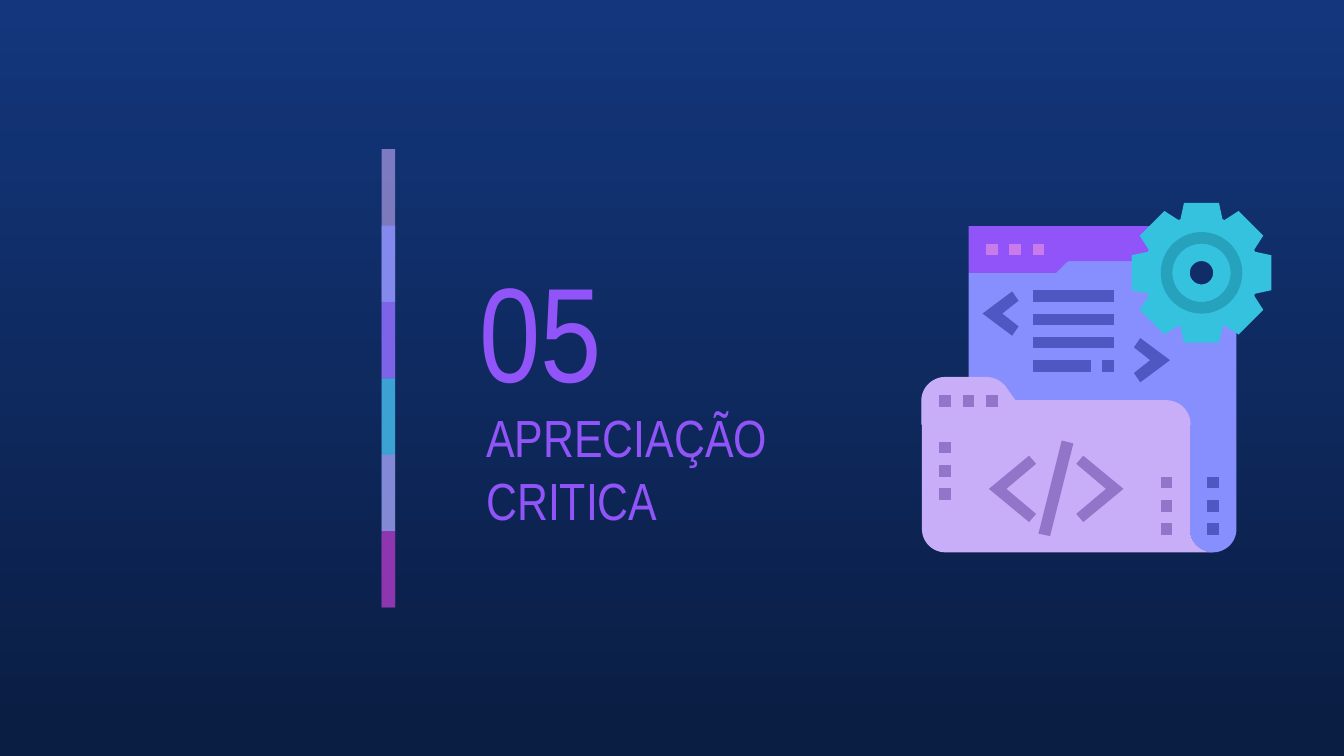
"""Section slide with a striped divider, a heading and a code folder icon."""
from dataclasses import dataclass
from math import cos, radians, sin

from lxml.etree import SubElement
from pptx import Presentation
from pptx.dml.color import RGBColor
from pptx.enum.shapes import MSO_SHAPE as Preset
from pptx.enum.text import MSO_ANCHOR as Anchor
from pptx.oxml.ns import qn
from pptx.util import Inches, Pt

Points = list[tuple[float, float]]

WIDTH = 10
HEIGHT = WIDTH * 9 / 16
FONT = "Arial Narrow"
LILAC, PERIWINKLE, VIOLET = "C8AEF8", "878FFF", "9154F8"
CYAN, TEAL, PINK = "35C2DF", "26A2BC", "CA7BEB"
MAUVE, INDIGO, PLUM = "9275C8", "4F57C3", "972CB4"
ICON_LEFT, ICON_TOP, UNIT = 6.86, 1.51, 2.6 / 30
BAR_LEFT, BAR_TOP, BAR_WIDTH, BAR_STEP = 2.84, 1.11, 0.1, 3.41 / 6


@dataclass
class Bar:
    color: str
    opacity: int
    steps: int = 2


@dataclass
class Heading:
    text: str
    size: int
    left: float
    top: float
    width: float
    height: float


@dataclass
class Dots:
    color: str
    column: float
    row: float
    across: int = 1
    down: int = 1
    width: float = 1


@dataclass
class Chevron:
    color: str
    tip: tuple[float, float]
    side: int
    outer: tuple[float, float]
    far: tuple[float, float]
    inner: float


BARS = [Bar(LILAC, 59), Bar(PERIWINKLE, 74), Bar(VIOLET, 53),
        Bar(CYAN, 76), Bar(PINK, 56), Bar(PLUM, 74, 1)]
HEADINGS = [Heading("05", 72, 3.47, 1.73, 1.79, 1.43),
            Heading("APRECIAÇÃO CRITICA", 28, 3.52, 3.15, 2.87, 0.67)]
DOTS = [Dots(PINK, 5.5, 3.5, across=3),
        Dots(MAUVE, 1.5, 16.5, across=3),
        Dots(MAUVE, 1.5, 20.5, down=3),
        Dots(MAUVE, 20.5, 23.5, down=3),
        Dots(INDIGO, 24.5, 23.5, down=3),
        Dots(INDIGO, 9.5, 7.5, down=3, width=7),
        Dots(INDIGO, 9.5, 13.5, width=5),
        Dots(INDIGO, 15.5, 13.5)]
SMALL = ((2.55, 1.9), (3.1, 1.1), 1.7)
LARGE = ((3.45, 2.85), (4.05, 2.15), 1.5)
CHEVRONS = [Chevron(INDIGO, (5.2, 9.5), 1, *SMALL),
            Chevron(INDIGO, (21.3, 13.5), -1, *SMALL),
            Chevron(MAUVE, (5.75, 24.55), 1, *LARGE),
            Chevron(MAUVE, (17.3, 24.55), -1, *LARGE)]


def rgb(color: str) -> RGBColor:
    return RGBColor.from_string(color)


def paint(shape, color: str) -> None:
    shape.shadow.inherit = False
    shape.fill.solid()
    shape.fill.fore_color.rgb = rgb(color)
    shape.line.fill.background()


def arc(x: float, y: float, radius: float, start: int, end: int) -> Points:
    count = max(8, abs(end - start) // 6)
    angles = [radians(start + (end - start) * i / count) for i in range(count + 1)]
    return [(x + radius * cos(a), y + radius * sin(a)) for a in angles]


def outline(page, color: str, *contours: Points):
    placed = [[(Inches(ICON_LEFT + x * UNIT), Inches(ICON_TOP + y * UNIT))
               for x, y in contour] for contour in contours]
    builder = page.shapes.build_freeform(*placed[0][0])
    for index, contour in enumerate(placed):
        if index:
            builder.move_to(*contour[0])
        builder.add_line_segments(contour[1:], close=True)
    shape = builder.convert_to_shape()
    paint(shape, color)
    return shape


def add_bar(page, index: int, bar: Bar) -> None:
    shape = page.shapes.add_shape(
        Preset.RECTANGLE, Inches(BAR_LEFT), Inches(BAR_TOP + index * BAR_STEP),
        Inches(BAR_WIDTH), Inches(bar.steps * BAR_STEP))
    paint(shape, bar.color)
    color = shape.fill._xPr.find(qn("a:solidFill"))[0]
    SubElement(color, qn("a:alpha")).set("val", str(bar.opacity * 1000))


def add_heading(page, heading: Heading) -> None:
    box = page.shapes.add_textbox(*map(Inches, (
        heading.left, heading.top, heading.width, heading.height)))
    frame = box.text_frame
    frame.word_wrap = True
    frame.vertical_anchor = Anchor.MIDDLE
    frame.margin_left = frame.margin_right = Inches(0.1)
    frame.margin_top = frame.margin_bottom = Inches(0.1)
    span = frame.paragraphs[0].add_run()
    span.text = heading.text
    span.font.name = FONT
    span.font.size = Pt(heading.size)
    span.font.color.rgb = rgb(VIOLET)


def add_dots(page, dots: Dots) -> None:
    for i in range(dots.across):
        for j in range(dots.down):
            x, y = dots.column + 2 * i, dots.row + 2 * j
            right = x + dots.width
            outline(page, dots.color, [(x, y), (right, y), (right, y + 1), (x, y + 1)])


def add_chevron(page, mark: Chevron) -> None:
    (ox, oy), (fx, fy) = mark.outer, mark.far
    corners = [(ox, -oy), (0, 0), (ox, oy), (fx, fy), (mark.inner, 0), (fx, -fy)]
    x, y = mark.tip
    outline(page, mark.color, [(x + mark.side * dx, y + dy) for dx, dy in corners])


def add_folder(page) -> None:
    notch = [(11.5, 6), (12.5, 5), (22, 5)]
    outline(page, PERIWINKLE, [(4, 6), *notch, (22, 9), (27, 9),
                               *arc(25, 28, 2, 0, 180), (4, 28)])
    outline(page, VIOLET, [(4, 2), (4, 6), *notch, (22, 2)])
    outline(page, LILAC, [(0, 19), *arc(2, 28, 2, 180, 90),
                          *arc(25, 28, 2, 90, 180), (23, 19)])
    tab = outline(page, LILAC, [(0, 19), *arc(2, 17, 2, 180, 270),
                                *arc(5.5, 17.1, 2.1, -90, -32), (8, 17),
                                *arc(21, 19, 2, -90, 0)])
    tab.line.color.rgb = rgb(LILAC)
    tab.line.width = Pt(0.75)


def add_gear(page, x: float = 24, y: float = 6) -> None:
    tooth = [(-1.8, -4.6), (-1.5, -6), (1.5, -6), (1.8, -4.6)]
    turns = [radians(45 * i) for i in range(8)]
    rim = [(x + dx * cos(a) - dy * sin(a), y + dx * sin(a) + dy * cos(a))
           for a in turns for dx, dy in tooth]
    outline(page, CYAN, rim, arc(x, y, 1, 0, 360))
    outline(page, TEAL, arc(x, y, 3.5, 0, 360), arc(x, y, 2.5, 0, 360))


def main() -> None:
    deck = Presentation()
    deck.slide_width, deck.slide_height = Inches(WIDTH), Inches(HEIGHT)
    page = deck.slides.add_slide(deck.slide_layouts[6])
    backdrop = page.background.fill
    backdrop.gradient()
    backdrop.gradient_angle = 270
    for stop, color in zip(backdrop.gradient_stops, ("13367C", "0A1D42")):
        stop.color.rgb = rgb(color)
    for index, bar in enumerate(BARS):
        add_bar(page, index, bar)
    for heading in HEADINGS:
        add_heading(page, heading)
    add_folder(page)
    add_gear(page)
    for dots in DOTS:
        add_dots(page, dots)
    for mark in CHEVRONS:
        add_chevron(page, mark)
    outline(page, MAUVE, [(12, 20.4), (10, 28.4), (11, 28.6), (13, 20.65)])
    deck.save("out.pptx")


main()
